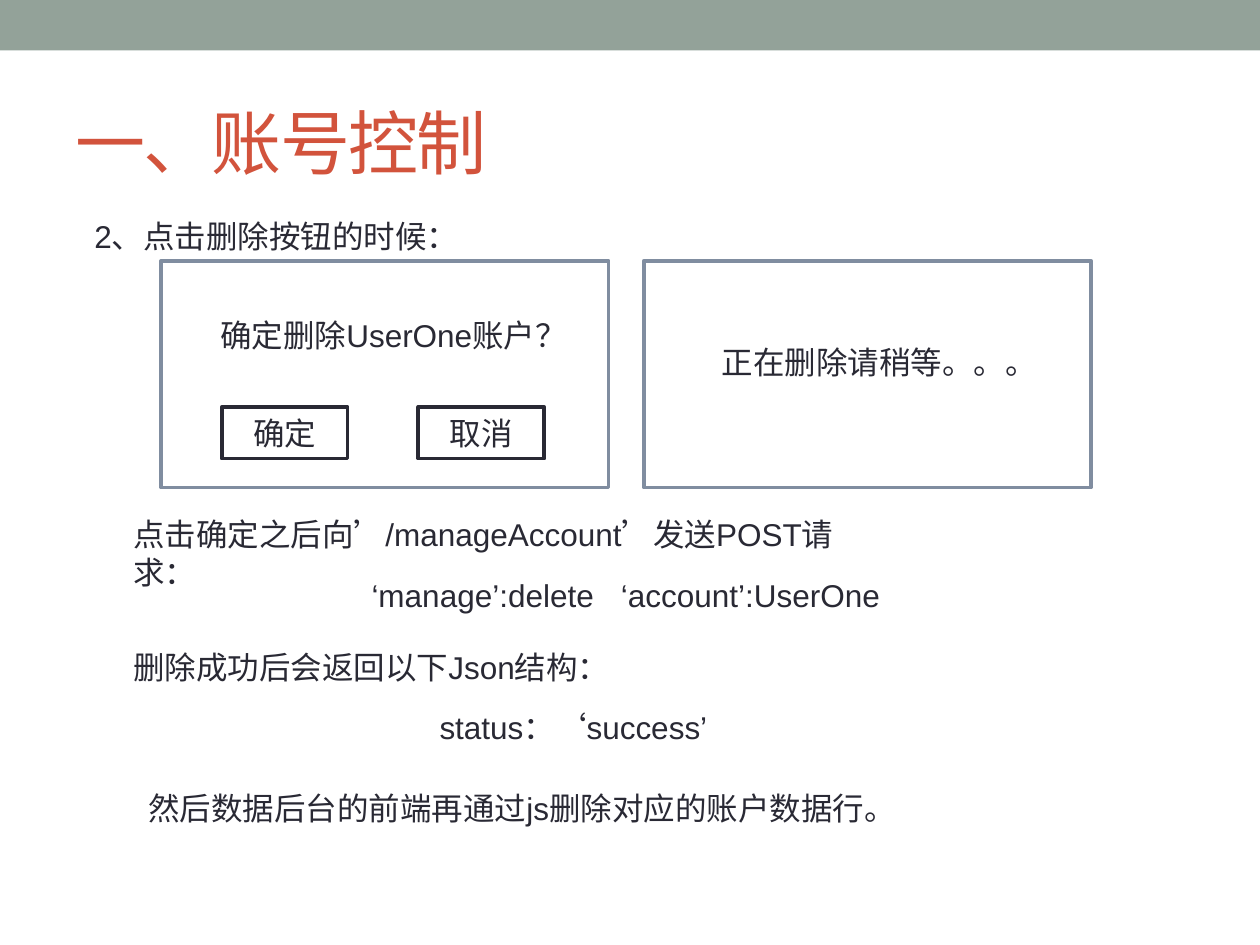
from pptx import Presentation
from pptx.dml.color import RGBColor
from pptx.enum.shapes import MSO_SHAPE
from pptx.enum.text import MSO_ANCHOR, PP_ALIGN
from pptx.util import Inches, Pt

INK, ACCENT, BAR, FRAME, WHITE = "292934", "D2533C", "93A299", "808DA0", "FFFFFF"
LINE_H = 0.4
DIALOG_W, DIALOG_H = 3.55, 1.8


def color(value):
    return RGBColor.from_string(value)


def write(sp, text, size=18, ink=INK, align=PP_ALIGN.LEFT, anchor=MSO_ANCHOR.TOP):
    tf = sp.text_frame
    tf.text = text
    tf.word_wrap = True
    tf.vertical_anchor = anchor
    p = tf.paragraphs[0]
    p.alignment = align
    r = p.runs[0]
    r.font.name = "Arial"
    r.font.size = Pt(size)
    r.font.color.rgb = color(ink)
    return r


def add_text(s, x, y, w, text):
    write(s.shapes.add_textbox(Inches(x), Inches(y), Inches(w), Inches(LINE_H)), text)


def add_box(s, x, y, w, h, fill=WHITE, line=None):
    sp = s.shapes.add_shape(MSO_SHAPE.RECTANGLE, Inches(x), Inches(y), Inches(w), Inches(h))
    sp.shadow.inherit = False
    sp.fill.solid()
    sp.fill.fore_color.rgb = color(fill)
    if line:
        sp.line.color.rgb = color(line)
        sp.line.width = Pt(2.08)
    else:
        sp.line.fill.background()
    return sp


def add_header(s, w, title):
    add_box(s, 0, 0, w, 0.4, BAR)
    sp = s.shapes.title
    sp.left, sp.top, sp.width, sp.height = Inches(0.5), Inches(0.58), Inches(w - 1), Inches(1.08)
    r = write(sp, title, 40, ACCENT, anchor=MSO_ANCHOR.MIDDLE)
    r.font._element.set("spc", "-100")


def add_dialog(s, x, y, message, dx, dy, w, buttons=()):
    add_box(s, x, y, DIALOG_W, DIALOG_H, line=FRAME)
    add_text(s, x + dx, y + dy, w, message)
    for i, label in enumerate(buttons):
        button = add_box(s, x + 0.48 + i * 1.56, y + 1.16, 1, 0.41, line=INK)
        write(button, label, align=PP_ALIGN.CENTER, anchor=MSO_ANCHOR.MIDDLE)


def add_steps(s, x, y):
    steps = [
        (0, 0, 5.93, "点击确定之后向’/manageAccount’发送POST请求："),
        (1.89, 0.48, 1.98, "‘manage’:delete"),
        (3.87, 0.48, 2.32, "‘account’:UserOne"),
        (0, 1.05, 4.02, "删除成功后会返回以下Json结构："),
        (2.43, 1.53, 2.6, "status：‘success’"),
        (0.12, 2.17, 6.19, "然后数据后台的前端再通过js删除对应的账户数据行。"),
    ]
    for dx, dy, w, text in steps:
        add_text(s, x + dx, y + dy, w, text)


prs = Presentation()
prs.slide_width, prs.slide_height = Inches(10), Inches(7.5)
s = prs.slides.add_slide(prs.slide_layouts[5])
add_header(s, 10, "一、账号控制")
add_text(s, 0.65, 1.67, 3.12, "2、点击删除按钮的时候：")
add_dialog(s, 1.28, 2.07, "确定删除UserOne账户？", 0.37, 0.39, 3.02, ("确定", "取消"))
add_dialog(s, 5.11, 2.07, "正在删除请稍等。。。", 0.52, 0.6, 2.73)
add_steps(s, 0.96, 4.04)
prs.save("out.pptx")
